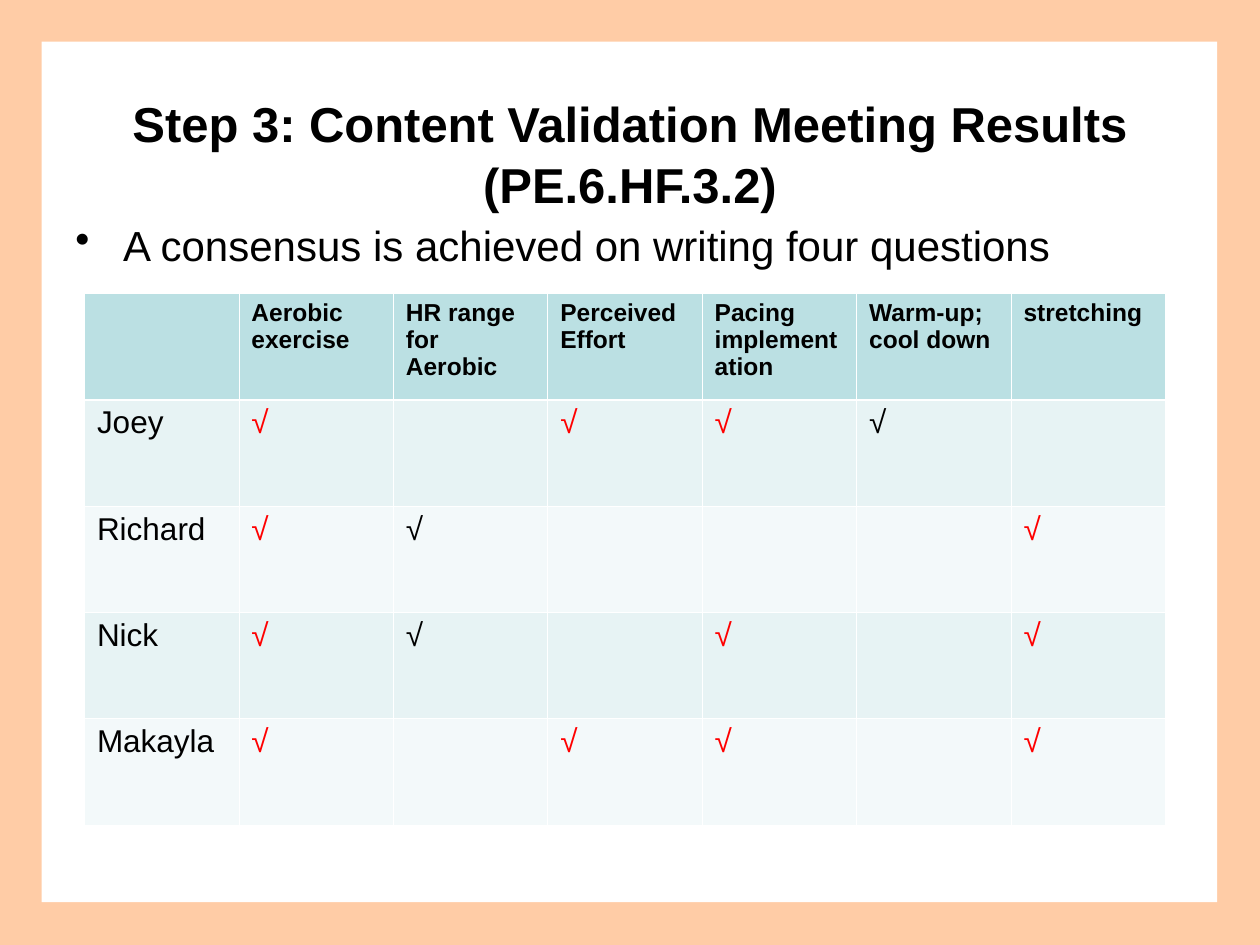
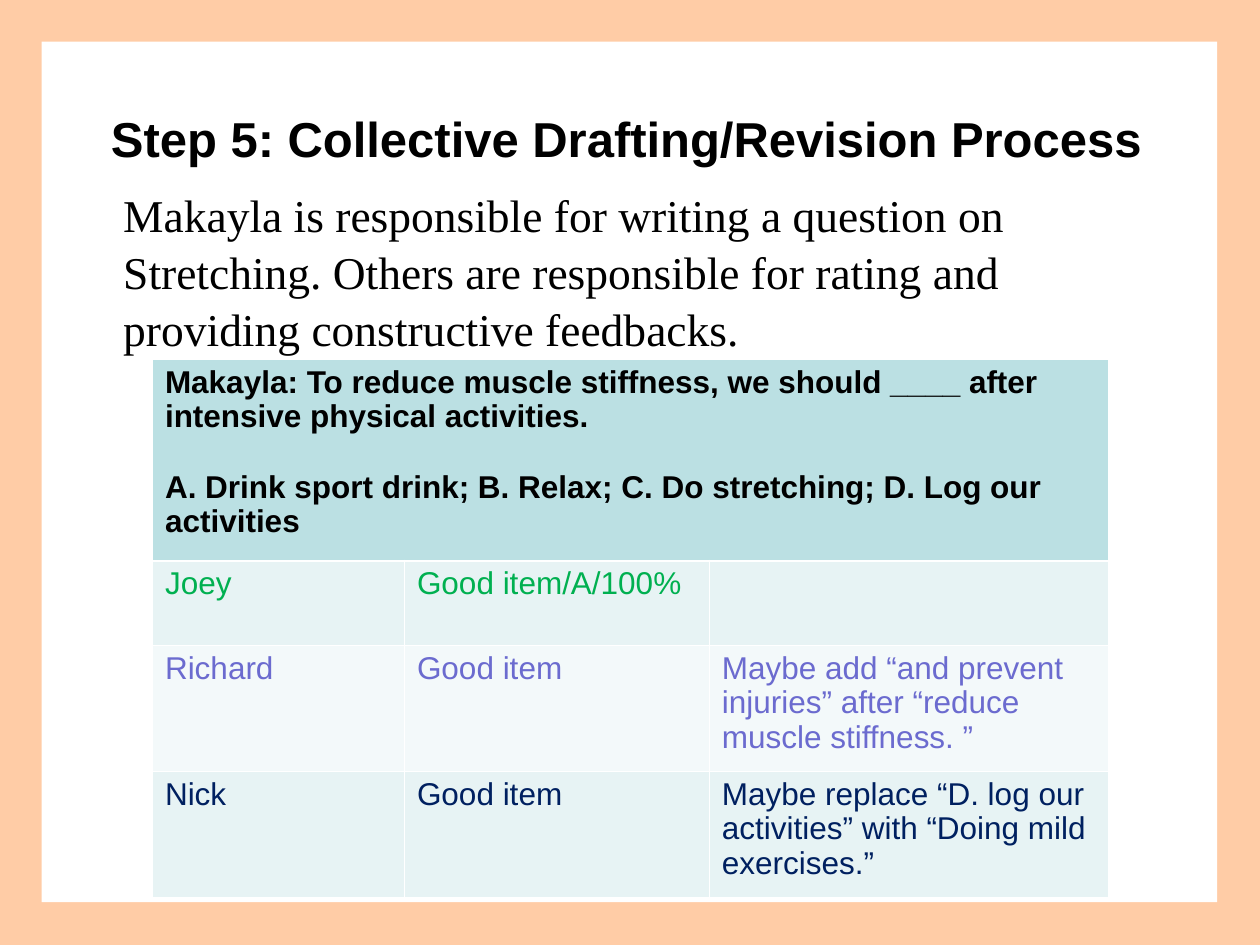
from dataclasses import dataclass
from typing import Optional

import pptx
import pptx.dml.color
import pptx.enum.shapes
import pptx.enum.text
import pptx.oxml
import pptx.oxml.ns
import pptx.util
from pptx.util import Inches

RGBColor = pptx.dml.color.RGBColor
PEACH = RGBColor(0xFF, 0xCC, 0xA6)
WHITE = RGBColor(0xFF, 0xFF, 0xFF)
BLACK = RGBColor(0, 0, 0)
TEAL = RGBColor(0xBB, 0xE0, 0xE3)
BANDS = (RGBColor(0xE7, 0xF3, 0xF4), RGBColor(0xF3, 0xF9, 0xFA))
RED = RGBColor(0xFF, 0, 0)
GREEN = RGBColor(0, 0xB0, 0x50)
VIOLET = RGBColor(0x6B, 0x6B, 0xCF)
NAVY = RGBColor(0, 0x20, 0x60)

SANS = "Arial"
SERIF = "Times New Roman"
THIN, THICK = 0.45, 1.47
CHECK = "√"


@dataclass(frozen=True)
class Area:
    left: float
    top: float
    width: float
    height: float

    def lengths(self) -> tuple:
        return tuple(Inches(v) for v in (self.left, self.top, self.width, self.height))


@dataclass(frozen=True)
class Entry:
    text: str = ""
    color: RGBColor = BLACK
    size: float = 18
    bold: bool = False
    gap: float = 0


def write_text(frame, text: str, *, size: float, color: RGBColor = BLACK,
               font: str = SANS, bold: bool = False, centered: bool = False,
               before: float = 0, gap: float = 0, spacing: float = 1.0,
               hanging: float = 0, bullet: Optional[str] = None) -> None:
    for index, line in enumerate(text.split("\n")):
        para = frame.add_paragraph() if index else frame.paragraphs[0]
        para.space_before = pptx.util.Pt(gap if index else before)
        para.line_spacing = spacing
        if centered:
            para.alignment = pptx.enum.text.PP_ALIGN.CENTER
        if hanging:
            properties = para._p.get_or_add_pPr()
            properties.set("marL", str(Inches(hanging)))
            properties.set("indent", str(Inches(-hanging if bullet else 0)))
            if bullet:
                mark = pptx.oxml.parse_xml(
                    f'<a:buChar {pptx.oxml.ns.nsdecls("a")} char="{bullet}"/>')
                properties.append(mark)
        span = para.add_run()
        span.text = line
        span.font.name = font
        span.font.size = pptx.util.Pt(size)
        span.font.bold = bold
        span.font.color.rgb = color


def add_text(page, area: Area, text: str, *, middle: bool = False, **style) -> None:
    frame = page.shapes.add_textbox(*area.lengths()).text_frame
    frame.word_wrap = True
    if middle:
        frame.vertical_anchor = pptx.enum.text.MSO_ANCHOR.MIDDLE
    write_text(frame, text, **style)


def add_page(deck):
    page = deck.slides.add_slide(deck.slide_layouts[6])
    border = page.shapes.add_group_shape()
    for area, color in ((Area(0, 0, 10, 7.5), PEACH),
                        (Area(0.33, 0.33, 9.33, 6.83), WHITE)):
        box = border.shapes.add_shape(
            pptx.enum.shapes.MSO_SHAPE.RECTANGLE, *area.lengths())
        box.shadow.inherit = False
        box.fill.solid()
        box.fill.fore_color.rgb = color
        box.line.fill.background()
    return page


def add_title(page, left: float, top: float, text: str) -> None:
    add_text(page, Area(left, top, 9, 1.25), text, middle=True, size=28,
             bold=True, centered=True, spacing=1.05)


def set_borders(cell, top: float, bottom: float) -> None:
    properties = cell._tc.get_or_add_tcPr()
    sides = (("lnL", THIN), ("lnR", THIN), ("lnT", top), ("lnB", bottom))
    for position, (side, width) in enumerate(sides):
        line = pptx.oxml.parse_xml(
            f'<a:{side} {pptx.oxml.ns.nsdecls("a")} w="{pptx.util.Pt(width)}">'
            f'<a:solidFill><a:srgbClr val="{WHITE}"/></a:solidFill></a:{side}>')
        properties.insert(position, line)


def add_grid(page, left: float, top: float, widths: list[float],
             heights: list[float], rows: list[list[Entry]]) -> None:
    area = Area(left, top, sum(widths), sum(heights))
    table = page.shapes.add_table(len(heights), len(widths), *area.lengths()).table
    for column, width in zip(table.columns, widths):
        column.width = Inches(width)
    for row, height in zip(table.rows, heights):
        row.height = Inches(height)
    if len(rows[0]) == 1:
        table.cell(0, 0).merge(table.cell(0, len(widths) - 1))
    for r in range(len(heights)):
        for c in range(len(widths)):
            cell = table.cell(r, c)
            cell.fill.solid()
            cell.fill.fore_color.rgb = BANDS[(r - 1) % 2] if r else TEAL
            set_borders(cell, THICK if r == 1 else THIN, THIN if r else THICK)
    for r, entries in enumerate(rows):
        for c, entry in enumerate(entries):
            if entry.text:
                write_text(table.cell(r, c).text_frame, entry.text, size=entry.size,
                           color=entry.color, bold=entry.bold, gap=entry.gap,
                           spacing=0.98)


def check_row(name: str, marks: str) -> list[Entry]:
    kinds = {"r": Entry(CHECK, RED), "b": Entry(CHECK), "-": Entry()}
    return [Entry(name)] + [kinds[mark] for mark in marks]


def add_validation_page(deck) -> None:
    page = add_page(deck)
    add_text(page, Area(0.5, 1.69, 9, 4.95),
             "A consensus is achieved on writing four questions",
             size=24, before=6, hanging=0.38, bullet="•")
    add_title(page, 0.5, 0.58, "Step 3: Content Validation Meeting Results (PE.6.HF.3.2)")
    topics = ["", "Aerobic exercise", "HR range for Aerobic", "Perceived Effort",
              "Pacing implementation", "Warm-up; cool down", "stretching"]
    rows = [
        [Entry(topic, size=14, bold=True) for topic in topics],
        check_row("Joey", "r-rrb-"),
        check_row("Richard", "rb---r"),
        check_row("Nick", "rb-r-r"),
        check_row("Makayla", "r-rr-r"),
    ]
    add_grid(page, 0.67, 2.33, [8.58 / 7] * 7, [4.22 / 5] * 5, rows)


def add_drafting_page(deck) -> None:
    page = add_page(deck)
    add_text(page, Area(0.5, 1.42, 9, 5.37),
             "Makayla is responsible for writing a question on Stretching. Others are "
             "responsible for rating and providing constructive feedbacks.",
             size=26, font=SERIF, before=6.5, hanging=0.38, spacing=1.04)
    add_title(page, 0.47, 0.46, "Step 5: Collective Drafting/Revision Process")
    question = ("Makayla: To reduce muscle stiffness, we should ____ after intensive "
                "physical activities.\nA. Drink sport drink; B. Relax; "
                "C. Do stretching; D. Log our activities")
    reviews = [
        (GREEN, "Joey", "Good item/A/100%", ""),
        (VIOLET, "Richard", "Good item",
         "Maybe add “and prevent injuries” after “reduce muscle stiffness. ”"),
        (NAVY, "Nick", "Good item",
         "Maybe replace “D. log our activities” with “Doing mild exercises.”"),
    ]
    rows = [[Entry(question, bold=True, gap=20.5)]]
    rows += [[Entry(text, color) for text in texts] for color, *texts in reviews]
    add_grid(page, 1.21, 2.85, [2, 2.42, 3.17], [1.6, 0.67, 1, 1], rows)


def main() -> None:
    deck = pptx.Presentation()
    deck.slide_width, deck.slide_height = Inches(10), Inches(7.5)
    add_validation_page(deck)
    add_drafting_page(deck)
    deck.save("out.pptx")


if __name__ == "__main__":
    main()
